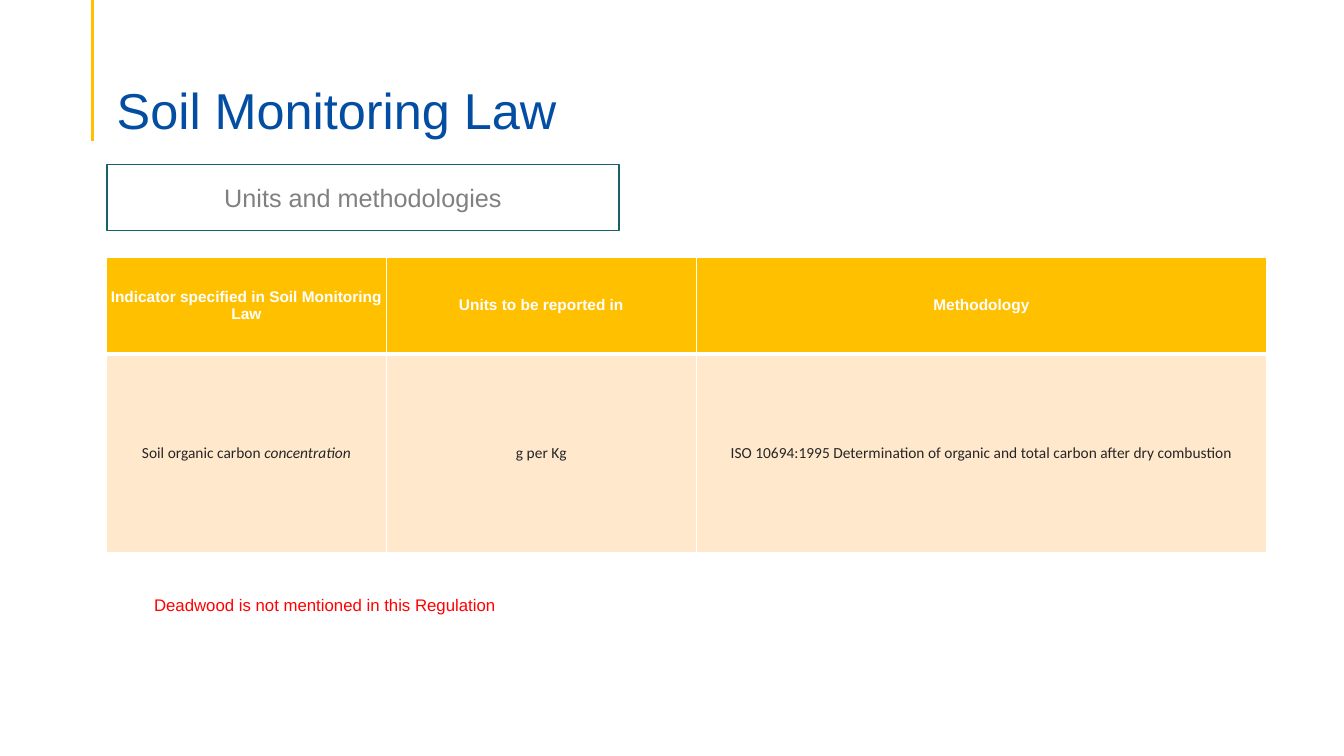
from pptx import Presentation
from pptx.dml.color import RGBColor
from pptx.enum.shapes import MSO_CONNECTOR, MSO_SHAPE
from pptx.enum.text import MSO_ANCHOR, MSO_AUTO_SIZE, PP_ALIGN
from pptx.oxml.ns import qn
from pptx.util import Pt
from lxml.etree import SubElement

PX = 9144
WHITE = RGBColor(0xFF, 0xFF, 0xFF)
GOLD = RGBColor(0xFF, 0xC0, 0x00)
CREAM = RGBColor(0xFF, 0xE8, 0xCC)
BLUE = RGBColor(0x03, 0x4E, 0xA2)
TEAL = RGBColor(0x16, 0x62, 0x67)
GREY = RGBColor(0x80, 0x80, 0x80)
INK = RGBColor(0x26, 0x26, 0x26)
RED = RGBColor(0xFF, 0x00, 0x00)

LEFT, WIDTH = 106, 1150
COLUMNS = (277, 308, 565)
ROWS = (96, 197)
HEADINGS = ("Indicator specified in Soil Monitoring Law", "Units to be reported in", "Methodology")
VALUES = (
    (("Soil organic carbon ", False), ("concentration", True)),
    (("g per Kg", False),),
    (("ISO 10694:1995 Determination of organic and total carbon after dry combustion", False),),
)


def emu(*lengths):
    """Turn px lengths into EMU."""
    return [length * PX for length in lengths]


def add_span(para, text, size, color, font="Arial", bold=False, italic=False):
    """Add one formatted run to a paragraph."""
    span = para.add_run()
    span.text = text
    span.font.size = Pt(size)
    span.font.name = font
    span.font.color.rgb = color
    span.font.bold = bold
    span.font.italic = italic


def add_accent(page, x, top, bottom):
    """Draw the vertical gold line beside the title."""
    line = page.shapes.add_connector(MSO_CONNECTOR.STRAIGHT, *emu(x, top, x, bottom))
    line.line.color.rgb = GOLD
    line.line.width = Pt(2.25)
    SubElement(line._element.spPr, qn("a:effectLst"))


def add_title(page, box):
    """Write the slide title at the bottom of its box."""
    frame = page.shapes.add_textbox(*emu(*box)).text_frame
    frame.word_wrap = True
    frame.vertical_anchor = MSO_ANCHOR.BOTTOM
    frame.margin_bottom = 0
    para = frame.paragraphs[0]
    para.line_spacing = 0.9
    add_span(para, "Soil Monitoring Law", 36, BLUE)


def add_subtitle(page, box):
    """Draw the outlined subtitle box."""
    shape = page.shapes.add_shape(MSO_SHAPE.RECTANGLE, *emu(*box))
    shape.shadow.inherit = False
    shape.fill.solid()
    shape.fill.fore_color.rgb = WHITE
    shape.line.color.rgb = TEAL
    shape.line.width = Pt(1)
    shape.text_frame.vertical_anchor = MSO_ANCHOR.MIDDLE
    para = shape.text_frame.paragraphs[0]
    para.alignment = PP_ALIGN.CENTER
    add_span(para, "Units and methodologies", 18, GREY)


def add_borders(cell, top, bottom):
    """Give a cell white borders, with top and bottom widths in points."""
    properties = cell._tc.get_or_add_tcPr()
    for side, width in (("L", 1), ("R", 1), ("T", top), ("B", bottom)):
        line = SubElement(properties, qn(f"a:ln{side}"), w=str(Pt(width)))
        fill = SubElement(line, qn("a:solidFill"))
        SubElement(fill, qn("a:srgbClr"), val=str(WHITE))


def prepare_cell(cell, fill, top, bottom):
    """Style a cell and return its centred paragraph."""
    add_borders(cell, top, bottom)
    cell.fill.solid()
    cell.fill.fore_color.rgb = fill
    cell.vertical_anchor = MSO_ANCHOR.MIDDLE
    cell.margin_left = cell.margin_right = cell.margin_top = cell.margin_bottom = 0
    para = cell.text_frame.paragraphs[0]
    para.alignment = PP_ALIGN.CENTER
    return para


def add_methods_table(page, box):
    """Build the table of indicators, units and methodologies."""
    table = page.shapes.add_table(len(ROWS), len(COLUMNS), *emu(*box)).table
    table.horz_banding = False
    for column, width in zip(table.columns, emu(*COLUMNS)):
        column.width = width
    for row, height in zip(table.rows, emu(*ROWS)):
        row.height = height
    for index, (heading, spans) in enumerate(zip(HEADINGS, VALUES)):
        para = prepare_cell(table.cell(0, index), GOLD, 1, 3)
        add_span(para, heading, 11, WHITE, bold=True)
        para = prepare_cell(table.cell(1, index), CREAM, 3, 1)
        for text, italic in spans:
            add_span(para, text, 11, INK, "Calibri", italic=italic)


def add_note(page, box):
    """Write the red remark under the table."""
    frame = page.shapes.add_textbox(*emu(*box)).text_frame
    frame.word_wrap = True
    frame.auto_size = MSO_AUTO_SIZE.SHAPE_TO_FIT_TEXT
    add_span(frame.paragraphs[0], "Deadwood is not mentioned in this Regulation", 12, RED)


def main():
    """Build and save the deck."""
    deck = Presentation()
    deck.slide_width, deck.slide_height = emu(1333, 750)
    page = deck.slides.add_slide(deck.slide_layouts[6])
    add_accent(page, 92, 0, 140)
    add_methods_table(page, (LEFT, 255, WIDTH, sum(ROWS)))
    add_title(page, (LEFT, 53, WIDTH, 86))
    add_subtitle(page, (LEFT, 163, 508, 66))
    add_note(page, (143, 585, 500, 30))
    deck.save("out.pptx")


if __name__ == "__main__":
    main()
